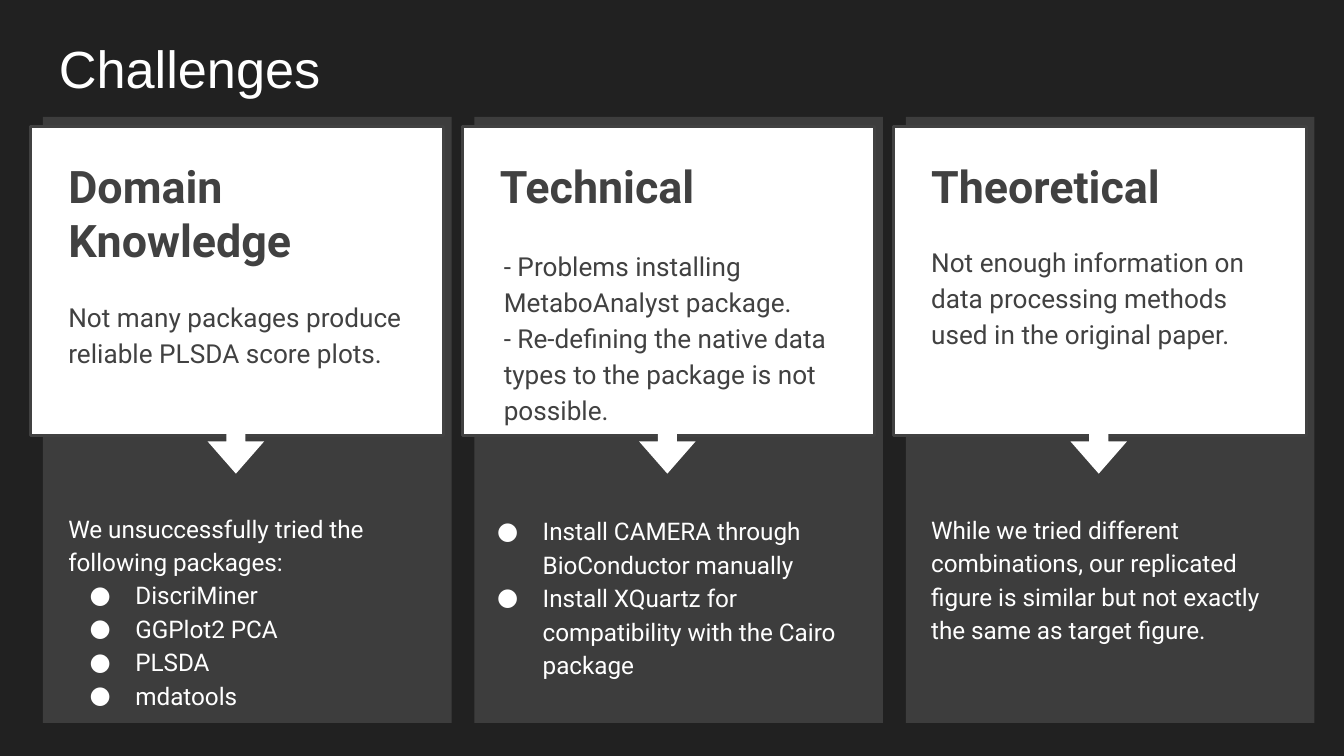
import pptx
import pptx.util
import pptx.dml.color
import pptx.enum.shapes
import pptx.oxml
import pptx.oxml.ns

Inches = pptx.util.Inches
Pt = pptx.util.Pt
RGBColor = pptx.dml.color.RGBColor
SHAPE = pptx.enum.shapes.MSO_SHAPE

DARK = RGBColor(0x21, 0x21, 0x21)
PANEL = RGBColor(0x3D, 0x3D, 0x3D)
GRAY = RGBColor(0x41, 0x41, 0x41)
WHITE = RGBColor(0xFF, 0xFF, 0xFF)

COLUMNS = [
    dict(head="Domain Knowledge",
         body=["Not many packages produce reliable PLSDA score plots."],
         spot=(0.09, 1.24, 2.72, 1.41),
         note=["We unsuccessfully tried the following packages:"],
         items=["DiscriMiner", "GGPlot2 PCA", "PLSDA", "mdatools"],
         base=(0.09, 2.82, 2.87, 1.59)),
    dict(head="Technical",
         body=["- Problems installing MetaboAnalyst package.",
               "- Re-defining the native data types to the package is not possible."],
         spot=(0.12, 0.86, 2.72, 0.92),
         note=[],
         items=["Install CAMERA through BioConductor manually",
                "Install XQuartz for compatibility with the Cairo package"],
         base=(-0.09, 2.84, 3.04, 1.56)),
    dict(head="Theoretical",
         body=["Not enough information on data processing methods used in the original paper."],
         spot=(0.09, 0.83, 2.72, 0.98),
         note=["While we tried different combinations, our replicated figure is similar "
               "but not exactly the same as target figure."],
         items=[],
         base=(0.09, 2.83, 2.87, 1.57)),
]


def add_block(shapes, kind, box, fill, line=None):
    """Add a filled preset shape, outlined only when a line colour is given."""
    block = shapes.add_shape(kind, *map(Inches, box))
    block.shadow.inherit = False
    block.fill.solid()
    block.fill.fore_color.rgb = fill
    if line is None:
        block.line.fill.background()
    else:
        block.line.color.rgb = line
        block.line.width = Pt(1.5)
    return block


def add_bullet(para):
    """Give a paragraph a hanging round white bullet."""
    props = para._p.get_or_add_pPr()
    props.set("marL", str(Inches(0.5)))
    props.set("indent", str(Inches(-0.34)))
    space = pptx.oxml.ns.nsdecls("a")
    for xml in (f'<a:buClr {space}><a:srgbClr val="{WHITE}"/></a:buClr>',
                f'<a:buFont {space} typeface="Roboto"/>',
                f'<a:buChar {space} char="●"/>'):
        props.append(pptx.oxml.parse_xml(xml))


def add_text(shapes, box, lines, size, color, font="Roboto", bold=False,
             space=None, items=()):
    """Add wrapped text with plain lines first and bulleted items after."""
    frame = shapes.add_textbox(*map(Inches, box)).text_frame
    frame.word_wrap = True
    frame.margin_left = frame.margin_right = Inches(0.1)
    frame.margin_top = frame.margin_bottom = Inches(0.1)
    frame.text = "\n".join([*lines, *items])
    for index, para in enumerate(frame.paragraphs):
        if space:
            para.line_spacing = space
        if index >= len(lines):
            add_bullet(para)
        for run in para.runs:
            run.font.name = font
            run.font.size = Pt(size)
            run.font.bold = bold
            run.font.color.rgb = color


def add_title(slide, box):
    """Add the slide title."""
    add_text(slide.shapes, box, ["Challenges"], 28, WHITE, font="Arial")


def add_column(slide, box, data):
    """Add one challenge: panel, white card, arrow and response."""
    left, top, width, height = box
    shapes = slide.shapes.add_group_shape().shapes

    def place(part):
        """Shift a box from the column's corner to the slide."""
        x, y, w, h = part
        return left + x, top + y, w, h

    add_block(shapes, SHAPE.RECTANGLE, box, PANEL)
    add_block(shapes, SHAPE.RECTANGLE, place((-0.09, 0.07, width + 0.03, 2.3)),
              WHITE, GRAY)
    add_text(shapes, place(data["spot"]), data["body"], 14, GRAY, space=1.15)
    add_text(shapes, place((0.09, 0.21, 2.72, 0.75)), [data["head"]], 24, GRAY,
             bold=True)
    arrow = add_block(shapes, SHAPE.RIGHT_ARROW, place((1.22, 2.23, 0.43, 0.42)),
                      WHITE)
    arrow.rotation = 90
    arrow.adjustments[0] = 0.34
    arrow.adjustments[1] = 0.57
    add_text(shapes, place(data["base"]), data["note"], 13, WHITE, space=1.15,
             items=data["items"])


def main():
    """Build and save the slide."""
    deck = pptx.Presentation()
    deck.slide_width = Inches(10)
    deck.slide_height = Inches(10 * 9 / 16)
    slide = deck.slides.add_slide(deck.slide_layouts[6])
    slide.background.fill.solid()
    slide.background.fill.fore_color.rgb = DARK
    add_title(slide, (0.34, 0.17, 9.32, 0.63))
    for index, data in enumerate(COLUMNS):
        add_column(slide, (0.32 + 3.21 * index, 0.87, 3.04, 4.51), data)
    deck.save("out.pptx")


if __name__ == "__main__":
    main()
